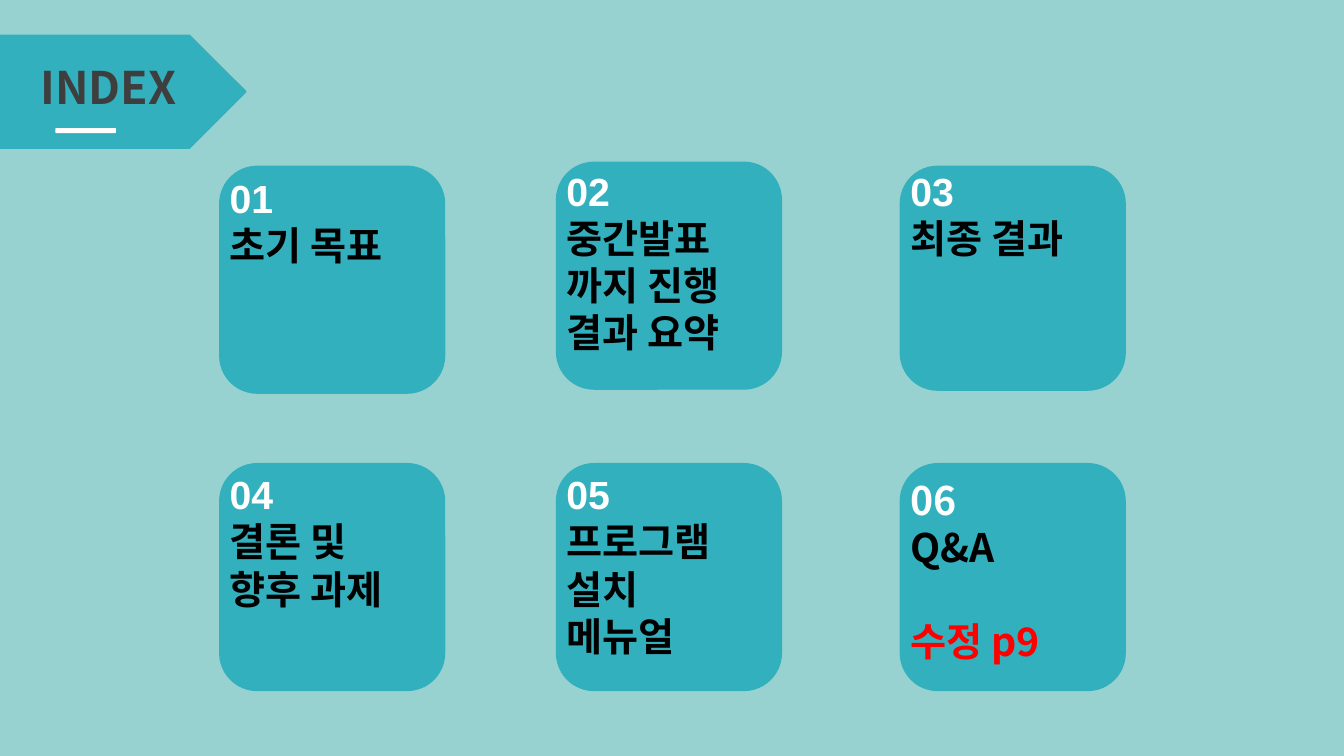
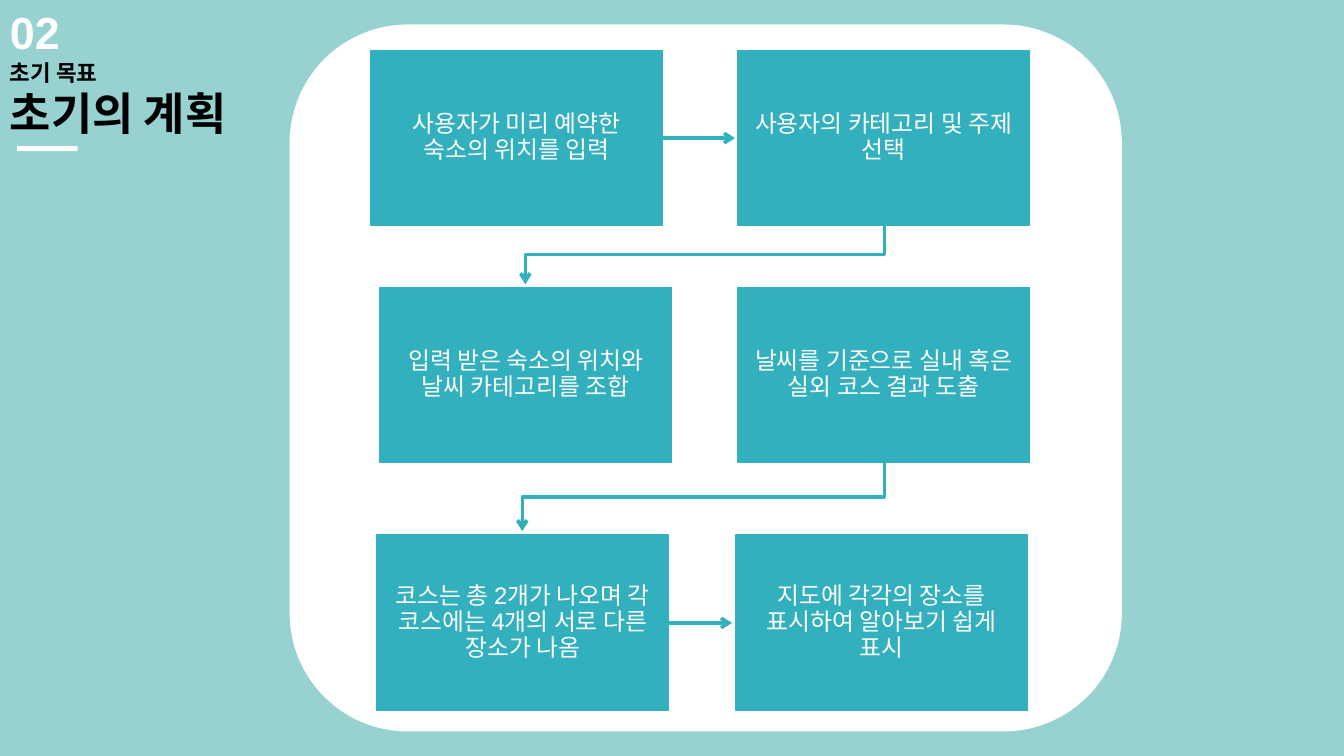
from dataclasses import dataclass

from lxml import etree
from pptx import Presentation
from pptx.dml.color import RGBColor as RGB
from pptx.enum.shapes import MSO_CONNECTOR as CONN, MSO_SHAPE as SHAPE
from pptx.enum.text import MSO_ANCHOR as ANCHOR, MSO_AUTO_SIZE as AUTO, PP_ALIGN as ALIGN
from pptx.oxml.ns import qn
from pptx.util import Emu, Pt

PX = 9144  # EMU per px, 100 px to the inch


def px(n: float) -> Emu:
    return Emu(round(n * PX))


@dataclass(frozen=True)
class Theme:
    back: RGB = RGB(0x97, 0xD2, 0xD0)
    teal: RGB = RGB(0x32, 0xB0, 0xBE)
    white: RGB = RGB(0xFF, 0xFF, 0xFF)
    black: RGB = RGB(0x00, 0x00, 0x00)
    grey: RGB = RGB(0x3E, 0x3E, 0x3E)
    red: RGB = RGB(0xFF, 0x00, 0x00)
    latin: str = "Arial"
    korean: str = "Noto Sans CJK KR"
    title: int = 32
    card: int = 28
    step: int = 17
    label: int = 16
    outline: float = 1
    arrow: float = 2.5


T = Theme()


@dataclass(frozen=True)
class Box:
    x: int
    y: int
    w: int
    h: int


@dataclass(frozen=True)
class Line:
    text: str
    size: int
    color: RGB
    font: str = T.latin
    bold: bool = True
    before: float = 0


@dataclass(frozen=True)
class Card:
    box: Box
    text_box: Box
    lines: list[Line]


@dataclass(frozen=True)
class Step:
    x: int
    y: int
    text: str


@dataclass(frozen=True)
class Arrow:
    x1: int
    y1: int
    x2: int
    y2: int


# Shared drawing
def new_slide(prs):
    s = prs.slides.add_slide(prs.slide_layouts[6])
    s.background.fill.solid()
    s.background.fill.fore_color.rgb = T.back
    return s


def add_shape(s, kind: SHAPE, box: Box, color: RGB, outlined: bool = True):
    sp = s.shapes.add_shape(kind, px(box.x), px(box.y), px(box.w), px(box.h))
    sp.shadow.inherit = False
    sp.fill.solid()
    sp.fill.fore_color.rgb = color
    if outlined:
        sp.line.color.rgb = color
        sp.line.width = Pt(T.outline)
    else:
        sp.line.fill.background()
    return sp


def write(tf, lines: list[Line], align: ALIGN = ALIGN.LEFT) -> None:
    tf.word_wrap = True
    tf.text = "\n".join(line.text for line in lines)
    for p, line in zip(tf.paragraphs, lines):
        p.alignment = align
        if line.before:
            p.space_before = Pt(line.before)
        for r in p.runs:
            r.font.size = Pt(line.size)
            r.font.bold = line.bold
            r.font.color.rgb = line.color
            r.font.name = line.font
            ea = etree.SubElement(r.font._element, qn("a:ea"))
            ea.set("typeface", T.korean)


def add_text(s, box: Box, lines: list[Line], align: ALIGN = ALIGN.LEFT) -> None:
    tb = s.shapes.add_textbox(px(box.x), px(box.y), px(box.w), px(box.h))
    write(tb.text_frame, lines, align)
    tb.text_frame.auto_size = AUTO.SHAPE_TO_FIT_TEXT


def add_title_bar(s, x: int, y: int) -> None:
    add_shape(s, SHAPE.ROUNDED_RECTANGLE, Box(x, y, 60, 5), T.white, outlined=False)


def add_arrow(s, a: Arrow) -> None:
    if a.y1 == a.y2:
        c = s.shapes.add_connector(CONN.STRAIGHT, px(a.x1), px(a.y1), px(a.x2), px(a.y2))
    else:
        # A quarter turn makes the elbow leave and arrive vertically
        cx, cy = (a.x1 + a.x2) / 2, (a.y1 + a.y2) / 2
        dx, dy = (a.y2 - a.y1) / 2, (a.x1 - a.x2) / 2
        c = s.shapes.add_connector(CONN.ELBOW, px(cx - dx), px(cy - dy), px(cx + dx), px(cy + dy))
        c._element.spPr.find(qn("a:xfrm")).set("rot", "5400000")
    c.line.color.rgb = T.teal
    c.line.width = Pt(T.arrow)
    etree.SubElement(c.line._get_or_add_ln(), qn("a:tailEnd")).set("type", "arrow")
    etree.SubElement(c._element.spPr, qn("a:effectLst"))


# Index slide
COLUMNS = (218, 552, 893)
ROWS = (165, 460)
CARD_W, CARD_H = 223, 225


def make_card(col: int, row: int, number: str, lines: list[str], text_y: int,
              y: int = 0, h: int = CARD_H, font: str = T.latin, note: str = "") -> Card:
    x = COLUMNS[col]
    body = [Line(number, T.card, T.white, font)]
    body += [Line(text, T.card, T.black, font) for text in lines]
    if note:
        body.append(Line(note, T.card, T.red, font, before=33.5))
    return Card(Box(x, y or ROWS[row], CARD_W, h), Box(x, text_y, CARD_W, 199), body)


CARDS = [
    make_card(0, 0, "01", ["초기 목표"], 168),
    make_card(1, 0, "02", ["중간발표", "까지 진행 결과 요약"], 161, y=161),
    make_card(2, 0, "03", ["최종 결과"], 161, h=222),
    make_card(0, 1, "04", ["결론 및", "향후 과제"], 462),
    make_card(1, 1, "05", ["프로그램 설치", "메뉴얼"], 462),
    make_card(2, 1, "06", ["Q&A"], 468, font=T.korean, note="수정 p9"),
]


def index_slide(prs) -> None:
    s = new_slide(prs)
    add_shape(s, SHAPE.PENTAGON, Box(0, 35, 244, 112), T.teal)
    add_title_bar(s, 55, 127)
    add_text(s, Box(-16, 54, 247, 64), [Line("INDEX", T.title, T.grey, T.korean)], ALIGN.CENTER)
    for card in CARDS:
        add_shape(s, SHAPE.ROUNDED_RECTANGLE, card.box, T.teal)
        add_text(s, card.text_box, card.lines)


# Plan slide
STEP_W, STEP_H = 289, 174
STEPS = [
    Step(368, 50, "사용자가 미리 예약한 숙소의 위치를 입력"),
    Step(732, 50, "사용자의 카테고리 및 주제 선택"),
    Step(377, 285, "입력 받은 숙소의 위치와 날씨 카테고리를 조합"),
    Step(732, 285, "날씨를 기준으로 실내 혹은 실외 코스 결과 도출"),
    Step(374, 531, "코스는 총 2개가 나오며 각 코스에는 4개의 서로 다른 장소가 나옴"),
    Step(730, 531, "지도에 각각의 장소를 표시하여 알아보기 쉽게 표시"),
]
ARROWS = [
    Arrow(657, 137, 729, 137),
    Arrow(877, 223, 521, 282),
    Arrow(877, 459, 518, 527),
    Arrow(663, 618, 726, 618),
]


def add_step(s, step: Step) -> None:
    sp = add_shape(s, SHAPE.RECTANGLE, Box(step.x, step.y, STEP_W, STEP_H), T.teal)
    tf = sp.text_frame
    tf.margin_left = tf.margin_right = px(14)
    tf.margin_top = tf.margin_bottom = px(15)
    tf.vertical_anchor = ANCHOR.MIDDLE
    write(tf, [Line(step.text, T.step, T.white, bold=False)], ALIGN.CENTER)
    tf.paragraphs[0].line_spacing = 0.9


def plan_slide(prs) -> None:
    s = new_slide(prs)
    add_shape(s, SHAPE.ROUNDED_RECTANGLE, Box(288, 25, 824, 700), T.white)
    for arrow in ARROWS:
        add_arrow(s, arrow)
    for step in STEPS:
        add_step(s, step)
    add_text(s, Box(0, 0, 268, 145), [
        Line("02", T.title, T.white),
        Line("초기 목표", T.label, T.black),
        Line("초기의 계획", T.title, T.black),
    ])
    add_title_bar(s, 17, 145)


def main() -> None:
    prs = Presentation()
    prs.slide_width, prs.slide_height = px(1333), px(750)
    index_slide(prs)
    plan_slide(prs)
    prs.save("out.pptx")


if __name__ == "__main__":
    main()
